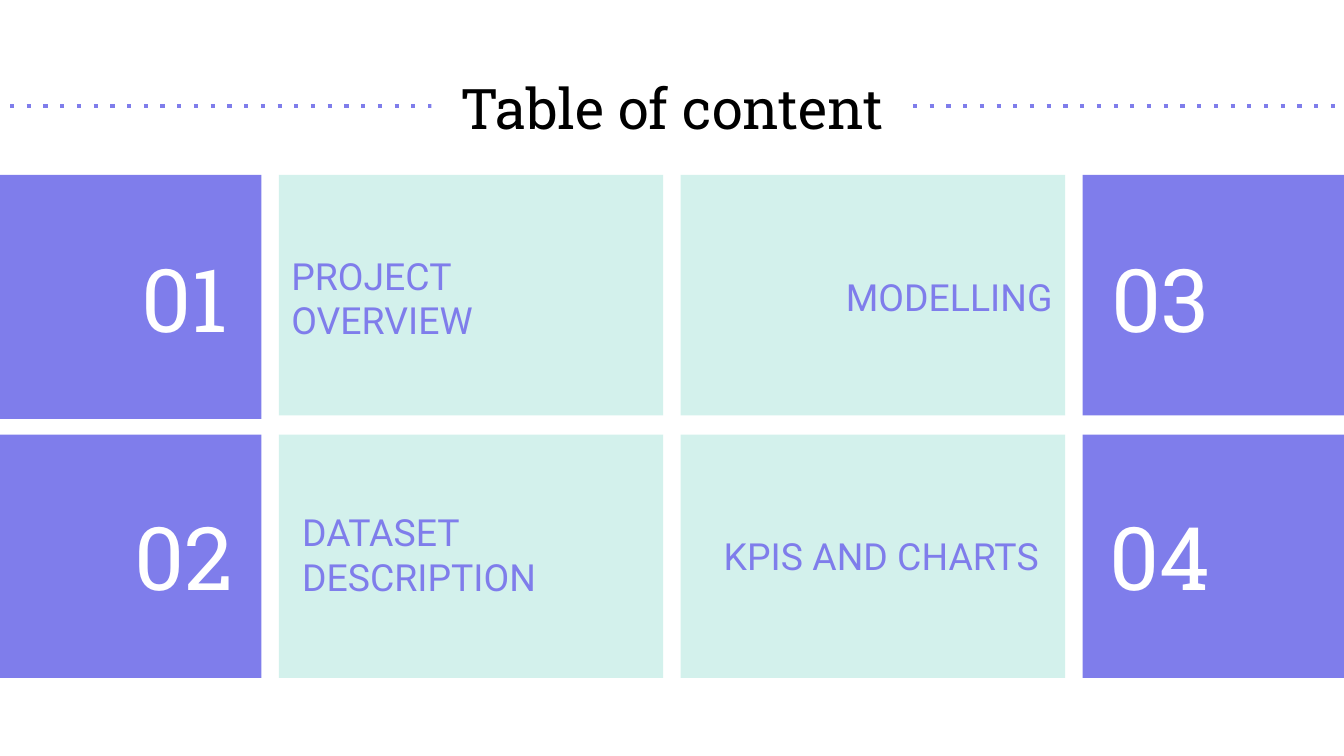
from lxml import etree
from pptx import Presentation
from pptx.dml.color import RGBColor
from pptx.enum import shapes, text
from pptx.oxml.ns import qn
from pptx.util import Pt

VIOLET = RGBColor(0x7F, 0x7D, 0xEB)
MINT = RGBColor(0x89, 0xDB, 0xCC)
WHITE = RGBColor(0xFF, 0xFF, 0xFF)
BLACK = RGBColor(0, 0, 0)

LEFT, CENTER, RIGHT = text.PP_ALIGN.LEFT, text.PP_ALIGN.CENTER, text.PP_ALIGN.RIGHT
GAP = 9.4
NUMBER_WIDTH, TOPIC_WIDTH = 144.7, 205.9
NUMBER_LEFT = -4.7
TOPIC_LEFT = NUMBER_LEFT + NUMBER_WIDTH + GAP
TOPIC_RIGHT = TOPIC_LEFT + TOPIC_WIDTH + GAP
NUMBER_RIGHT = TOPIC_RIGHT + TOPIC_WIDTH + GAP
ROWS = [(93.7, 128.9), (232.9, 130.3)]
NUMBER_TOPS = [108, 246.2]

SECTIONS = [
    ("01", "PROJECT OVERVIEW", 0, LEFT, (149, 138.2, 185, 42.5)),
    ("02", "DATASET DESCRIPTION", 1, LEFT, (154.8, 275, 196.6, 43.9)),
    ("03", "MODELLING", 0, RIGHT, (374.4, 137.5, 196.6, 42.5)),
    ("04", "KPIS AND CHARTS", 1, RIGHT, (372.2, 275.8, 191.5, 43.9)),
]


def add_panel(slide, left, top, width, height, color, opacity=100):
    panel = slide.shapes.add_shape(
        shapes.MSO_SHAPE.RECTANGLE, Pt(left), Pt(top), Pt(width), Pt(height))
    panel.shadow.inherit = False
    panel.fill.solid()
    panel.fill.fore_color.rgb = color
    panel.line.fill.background()
    if opacity < 100:
        color_xml = panel._element.spPr.find(qn("a:solidFill"))[0]
        etree.SubElement(color_xml, qn("a:alpha"), val=str(opacity * 1000))


def add_label(slide, words, box, size, font_name, color, align):
    label = slide.shapes.add_textbox(*map(Pt, box))
    frame = label.text_frame
    frame.word_wrap = True
    frame.vertical_anchor = text.MSO_ANCHOR.MIDDLE
    frame.margin_left = frame.margin_right = Pt(7.2)
    frame.margin_top = frame.margin_bottom = Pt(7.2)
    frame.text = words
    paragraph = frame.paragraphs[0]
    paragraph.alignment = align
    font = paragraph.runs[0].font
    font.name, font.size, font.color.rgb = font_name, Pt(size), color
    return label


def add_dotted_rule(slide, y):
    rule = slide.shapes.add_connector(
        shapes.MSO_CONNECTOR.STRAIGHT, Pt(-3.6), Pt(y), Pt(725), Pt(y))
    rule.line.width = Pt(2.25)
    rule.line.color.rgb = VIOLET
    properties = rule._element.spPr
    etree.SubElement(properties.find(qn("a:ln")), qn("a:prstDash"), val="dot")
    etree.SubElement(properties, qn("a:effectLst"))


def add_section(slide, number, topic, row, align, topic_box):
    top, height = ROWS[row]
    on_left = align == LEFT
    topic_x = TOPIC_LEFT if on_left else TOPIC_RIGHT
    number_x = NUMBER_LEFT if on_left else NUMBER_RIGHT
    number_box = (56.2 if on_left else 578.9, NUMBER_TOPS[row], 85, 103)
    add_panel(slide, topic_x, top, TOPIC_WIDTH, height, MINT, 37)
    number_height = 130.8 if number == "01" else height
    add_panel(slide, number_x, top, NUMBER_WIDTH, number_height, VIOLET)
    add_label(slide, number, number_box, 47, "Roboto Slab", WHITE, CENTER)
    add_label(slide, topic, topic_box, 20, "Roboto", VIOLET, align)


def main():
    deck = Presentation()
    deck.slide_width, deck.slide_height = Pt(720), Pt(405)
    slide = deck.slides.add_slide(deck.slide_layouts[6])
    add_dotted_rule(slide, 56.9)
    for section in SECTIONS:
        add_section(slide, *section)
    heading = add_label(slide, "Table of content", (231.1, 42.5, 257.8, 29.5),
                        30, "Roboto Slab", BLACK, CENTER)
    heading.fill.solid()
    heading.fill.fore_color.rgb = WHITE
    deck.save("out.pptx")


if __name__ == "__main__":
    main()
